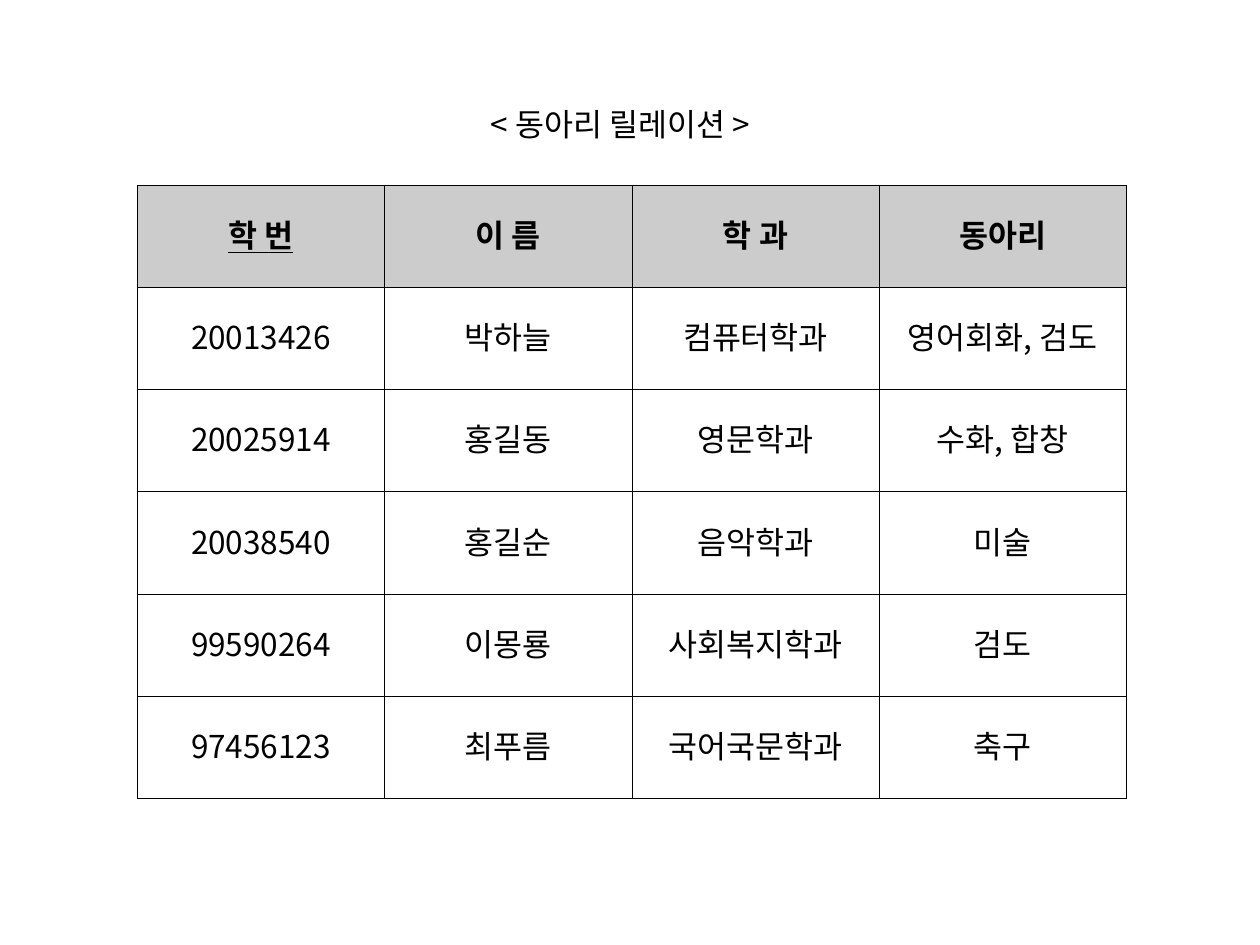
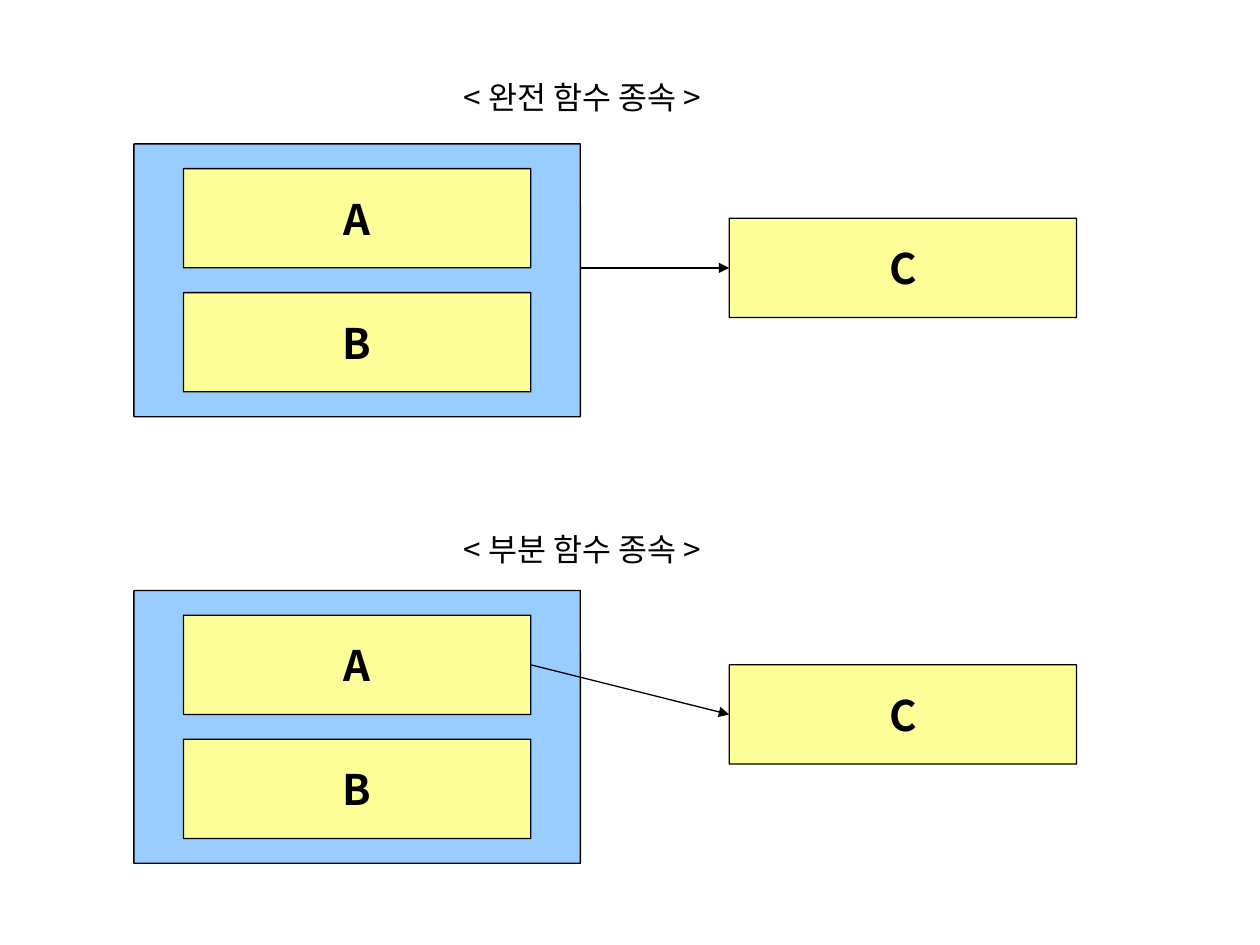
from lxml import etree
from pptx import Presentation
from pptx import util as u
from pptx.dml.color import RGBColor
from pptx.enum import shapes, text
from pptx.oxml import ns

# Content
CLUB_CAPTION = "< 동아리 릴레이션 >"
CLUB_HEADER = ("학 번", "이 름", "학 과", "동아리")
CLUB_ROWS = [
    ("20013426", "박하늘", "컴퓨터학과", "영어회화, 검도"),
    ("20025914", "홍길동", "영문학과", "수화, 합창"),
    ("20038540", "홍길순", "음악학과", "미술"),
    ("99590264", "이몽룡", "사회복지학과", "검도"),
    ("97456123", "최푸름", "국어국문학과", "축구"),
]
# Caption, caption top, frame top, and the part the arrow leaves from
DEPENDENCIES = [
    ("< 완전 함수 종속 >", 41, 82.2, "frame"),
    ("< 부분 함수 종속 >", 299.5, 337.4, "A"),
]

# Shared style
COLORS = {"ink": "000000", "paper": "FFFFFF", "header": "CCCCCC",
          "frame": "99CCFF", "attribute": "FFFF99"}
ARIAL, NOTO = "Arial", "Noto Sans CJK KR"
COLUMN_FONTS = (NOTO, ARIAL, ARIAL, NOTO)
BODY_SIZE, LETTER_SIZE = 18, 24
LINE_WIDTH, GRID_WIDTH = 0.75, 0.28

# Table layout in points
TABLE_LEFT, TABLE_TOP = 78.5, 105.8
COLUMN_WIDTH, ROW_HEIGHT = 141.3, 58.4

# Diagram layout in points, on a grid of one unit
UNIT = 28.35
FRAME_LEFT, FRAME_WIDTH, FRAME_HEIGHT = 76.5, 9 * UNIT, 5.5 * UNIT
BOX_WIDTH, BOX_HEIGHT, BOX_GAP = 7 * UNIT, 2 * UNIT, UNIT / 2
BOX_LEFT = FRAME_LEFT + UNIT
TARGET_LEFT = FRAME_LEFT + FRAME_WIDTH + 3 * UNIT
TARGET_DROP = 1.5 * UNIT


def color(name):
    return RGBColor.from_string(COLORS[name])


def points(*values):
    return [u.Pt(value) for value in values]


def add_run(paragraph, words, size, font=NOTO, bold=False, underline=False):
    run = paragraph.add_run()
    run.text = words
    run.font.size = u.Pt(size)
    run.font.name = font
    run.font.bold = bold
    run.font.underline = underline
    run.font.color.rgb = color("ink")
    east_asian = etree.SubElement(run.font._element, ns.qn("a:ea"))
    east_asian.set("typeface", NOTO)


def add_caption(slide, words, left, top, width):
    caption = slide.shapes.add_textbox(*points(left, top, width, 28.8))
    caption.text_frame.word_wrap = True
    add_run(caption.text_frame.paragraphs[0], words, BODY_SIZE)


def add_box(slide, left, top, width, height, fill, letter=None):
    box = slide.shapes.add_shape(shapes.MSO_SHAPE.ROUNDED_RECTANGLE,
                                 *points(left, top, width, height))
    box.adjustments[0] = 0.002
    box.shadow.inherit = False
    box.fill.solid()
    box.fill.fore_color.rgb = color(fill)
    box.line.color.rgb = color("ink")
    box.line.width = u.Pt(LINE_WIDTH)
    if letter:
        box.text_frame.vertical_anchor = text.MSO_ANCHOR.MIDDLE
        paragraph = box.text_frame.paragraphs[0]
        paragraph.alignment = text.PP_ALIGN.CENTER
        add_run(paragraph, letter, LETTER_SIZE, bold=True)


def add_arrow(slide, start, end):
    arrow = slide.shapes.add_connector(shapes.MSO_CONNECTOR.STRAIGHT,
                                       *points(*start, *end))
    arrow.line.color.rgb = color("ink")
    arrow.line.width = u.Pt(LINE_WIDTH)
    head = etree.SubElement(arrow.line._get_or_add_ln(), ns.qn("a:tailEnd"))
    head.set("type", "triangle")
    etree.SubElement(arrow._element.spPr, ns.qn("a:effectLst"))


def add_borders(cell):
    properties = cell._tc.get_or_add_tcPr()
    for side in ("lnL", "lnR", "lnT", "lnB"):
        border = etree.SubElement(properties, ns.qn(f"a:{side}"),
                                  w=str(u.Pt(GRID_WIDTH)))
        fill = etree.SubElement(border, ns.qn("a:solidFill"))
        etree.SubElement(fill, ns.qn("a:srgbClr"), val=COLORS["ink"])


def build_club_table(slide):
    rows = [CLUB_HEADER] + CLUB_ROWS
    clubs = slide.shapes.add_table(
        len(rows), len(CLUB_HEADER),
        *points(TABLE_LEFT, TABLE_TOP, COLUMN_WIDTH * len(CLUB_HEADER),
                ROW_HEIGHT * len(rows))).table
    for column in clubs.columns:
        column.width = u.Pt(COLUMN_WIDTH)
    for row in clubs.rows:
        row.height = u.Pt(ROW_HEIGHT)
    for r, row in enumerate(rows):
        is_header = r == 0
        for c, words in enumerate(row):
            cell = clubs.cell(r, c)
            add_borders(cell)
            cell.fill.solid()
            cell.fill.fore_color.rgb = color("header" if is_header else "paper")
            cell.vertical_anchor = text.MSO_ANCHOR.MIDDLE
            paragraph = cell.text_frame.paragraphs[0]
            paragraph.alignment = text.PP_ALIGN.CENTER
            paragraph.line_spacing = 0.83
            # The key column has its name underlined
            add_run(paragraph, words, BODY_SIZE,
                    ARIAL if is_header else COLUMN_FONTS[c],
                    bold=is_header, underline=is_header and c == 0)


def build_dependency(slide, caption, caption_top, top, source):
    add_box(slide, FRAME_LEFT, top, FRAME_WIDTH, FRAME_HEIGHT, "frame")
    for i, letter in enumerate("AB"):
        box_top = top + BOX_GAP + i * (BOX_HEIGHT + BOX_GAP)
        add_box(slide, BOX_LEFT, box_top, BOX_WIDTH, BOX_HEIGHT,
                "attribute", letter)
    target_top = top + TARGET_DROP
    add_box(slide, TARGET_LEFT, target_top, BOX_WIDTH, BOX_HEIGHT,
            "attribute", "C")
    end = (TARGET_LEFT, target_top + BOX_HEIGHT / 2)
    starts = {"frame": (FRAME_LEFT + FRAME_WIDTH, end[1]),
              "A": (BOX_LEFT + BOX_WIDTH, top + BOX_GAP + BOX_HEIGHT / 2)}
    add_arrow(slide, starts[source], end)
    add_caption(slide, caption, 257.8, caption_top, 168)


def main():
    deck = Presentation()
    deck.slide_width, deck.slide_height = points(720, 540)
    blank = deck.slide_layouts[6]

    # Slide 1: the club relation
    club_slide = deck.slides.add_slide(blank)
    build_club_table(club_slide)
    add_caption(club_slide, CLUB_CAPTION, 273.4, 56.6, 180)

    # Slide 2: full and partial functional dependency
    dependency_slide = deck.slides.add_slide(blank)
    for dependency in DEPENDENCIES:
        build_dependency(dependency_slide, *dependency)

    deck.save("out.pptx")


if __name__ == "__main__":
    main()
